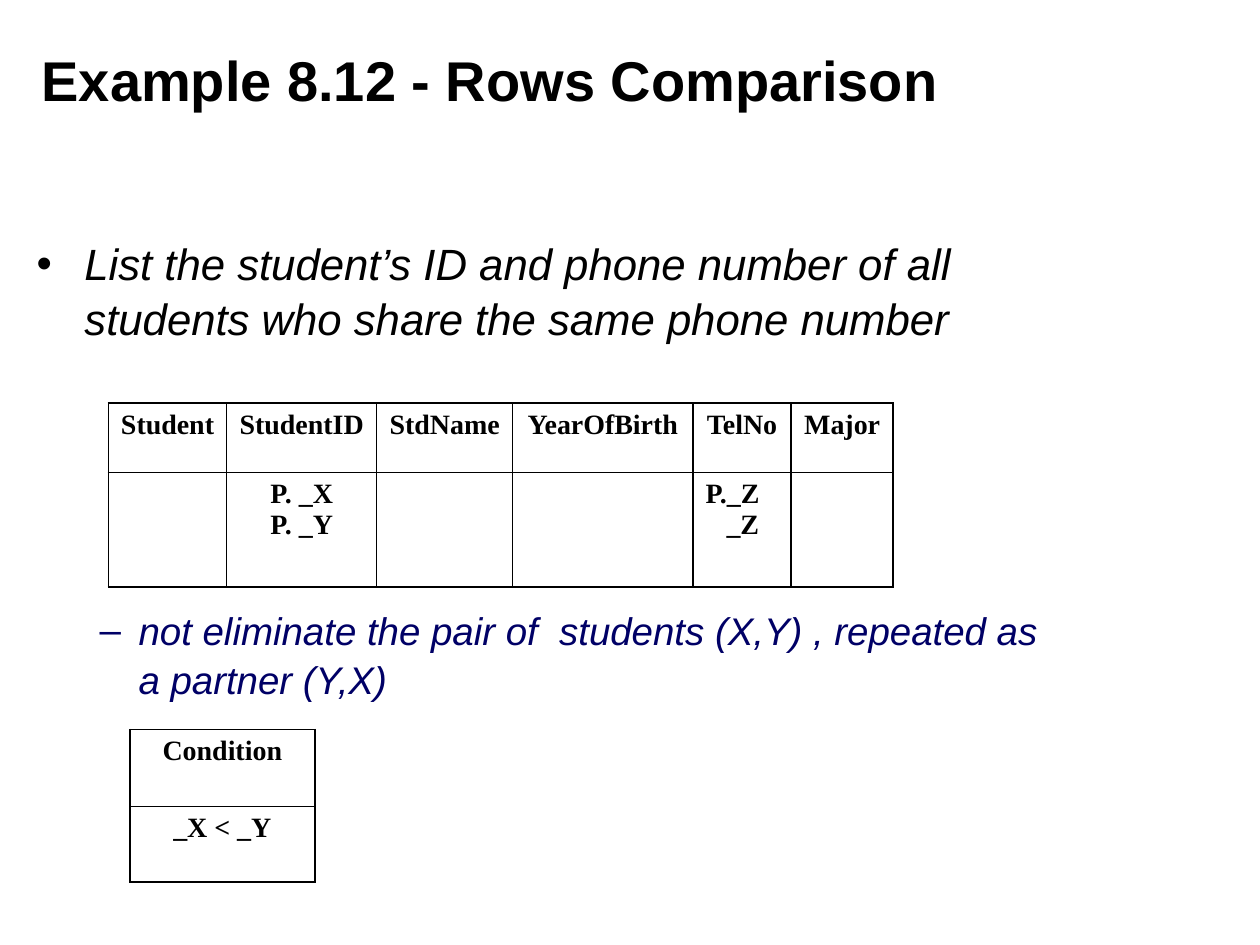
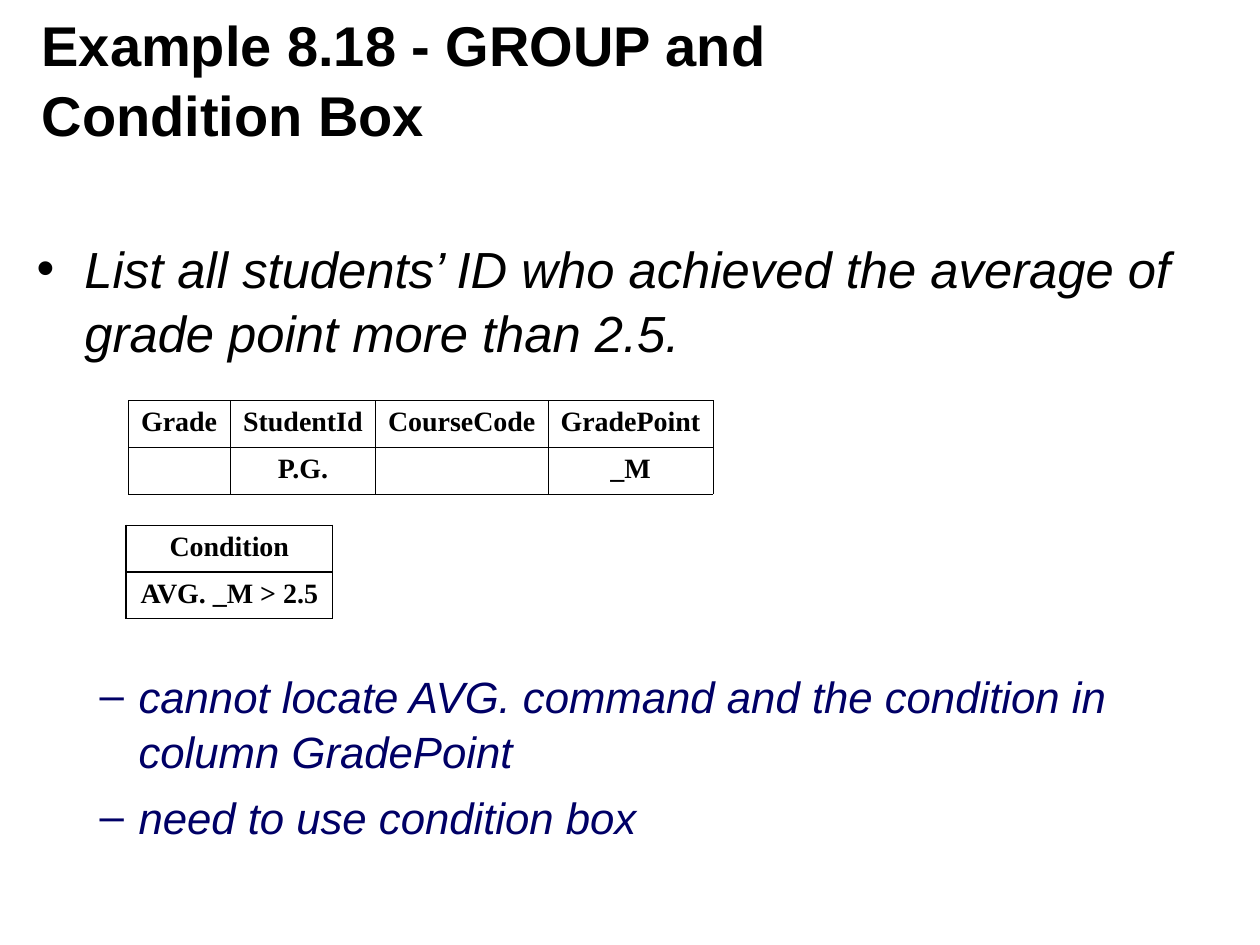
from dataclasses import dataclass

from lxml.etree import SubElement
from pptx import Presentation
from pptx.dml.color import RGBColor as RGB
from pptx.enum.text import MSO_ANCHOR as Anchor, MSO_AUTO_SIZE as AutoSize, PP_ALIGN as Align
from pptx.oxml import parse_xml
from pptx.oxml.ns import nsdecls, qn
from pptx.util import Inches, Pt


@dataclass(frozen=True)
class Theme:
    ink: str = "000000"
    accent: str = "000066"
    text_font: str = "Arial"
    table_font: str = "Times New Roman"
    title_size: int = 32
    table_size: int = 16
    leading: float = 1.05
    thin: float = 0.45
    rule: float = 0.96


class Deck:
    """Places elements on a grid of 100 columns by 75 rows."""

    COLS, ROWS = 100, 75
    TITLE_BOX = (2.3, 1.5, 80.3, 9.3)
    BODY_LEFT, BODY_TOP, BODY_ROWS = 1.9, 18.1, 48.2
    # bullet character, left margin and hanging indent in columns
    LEVELS = (("•", 3.8, 3.8), ("–", 8.1, 3.1))

    def __init__(self, theme):
        self.theme = theme
        self.prs = Presentation()
        self.prs.slide_width, self.prs.slide_height = Inches(10), Inches(7.5)
        self.s = None

    def x(self, cols):
        return int(self.prs.slide_width * cols / self.COLS)

    def y(self, rows):
        return int(self.prs.slide_height * rows / self.ROWS)

    def place(self, sp, left, top, width, height):
        sp.left, sp.top = self.x(left), self.y(top)
        sp.width, sp.height = self.x(width), self.y(height)
        tf = sp.text_frame
        tf.word_wrap, tf.auto_size = True, AutoSize.NONE
        return tf

    def run(self, p, text, font, size, color, bold=False, italic=False):
        r = p.add_run()
        r.text = text
        r.font.name, r.font.size = font, Pt(size)
        r.font.bold, r.font.italic = bold, italic
        r.font.color.rgb = RGB.from_string(color)

    # Title
    def slide(self, title):
        t = self.theme
        self.s = self.prs.slides.add_slide(self.prs.slide_layouts[1])
        tf = self.place(self.s.shapes.title, *self.TITLE_BOX)
        tf.vertical_anchor = Anchor.MIDDLE
        p = tf.paragraphs[0]
        p.alignment, p.line_spacing = Align.LEFT, t.leading
        self.run(p, title, t.text_font, t.title_size, t.ink, bold=True)

    # Bulleted list: one question, then notes below the table gap
    def body(self, width, question, notes, sizes, gap, note_space):
        t = self.theme
        tf = self.place(self.s.placeholders[1], self.BODY_LEFT, self.BODY_TOP,
                        width, self.BODY_ROWS)
        items = [(0, question, 0)]
        items += [(1, note, note_space if i else gap) for i, note in enumerate(notes)]
        for i, (level, text, before) in enumerate(items):
            p = tf.add_paragraph() if i else tf.paragraphs[0]
            color = t.accent if level else t.ink
            p.level, p.line_spacing = level, t.leading
            p.space_before = Pt(before)
            self.bullet(p, level, color)
            self.run(p, text, t.text_font, sizes[level], color, italic=True)

    def bullet(self, p, level, color):
        char, margin, hang = self.LEVELS[level]
        pPr = p._p.get_or_add_pPr()
        pPr.set("marL", str(self.x(margin)))
        pPr.set("indent", str(-self.x(hang)))
        bu = SubElement(pPr, qn("a:buClr"))
        SubElement(bu, qn("a:srgbClr"), val=color)
        SubElement(pPr, qn("a:buFont"), typeface=self.theme.text_font)
        SubElement(pPr, qn("a:buChar"), char=char)

    # Table: each cell is a list of lines, a line may be (text, left margin)
    def table(self, left, top, cols, heights, rows, line, header=Align.CENTER,
              left_cells=()):
        gf = self.s.shapes.add_table(len(rows), len(cols), self.x(left), self.y(top),
                                     self.x(sum(cols)), self.y(sum(heights)))
        tbl = gf.table
        tbl.first_row = tbl.horz_banding = False
        for column, width in zip(tbl.columns, cols):
            column.width = self.x(width)
        for row, height in zip(tbl.rows, heights):
            row.height = self.y(height)
        for i, row in enumerate(rows):
            for j, lines in enumerate(row):
                align = Align.LEFT if (i, j) in left_cells else Align.CENTER
                self.cell(tbl.cell(i, j), lines, align if i else header, line)

    def cell(self, cell, lines, align, line):
        t = self.theme
        cell.fill.background()
        self.borders(cell, line)
        tf = cell.text_frame
        if not lines:
            SubElement(tf.paragraphs[0]._p, qn("a:endParaRPr"), sz=str(t.table_size * 100))
        for i, item in enumerate(lines):
            text, margin = item if isinstance(item, tuple) else (item, 0)
            p = tf.add_paragraph() if i else tf.paragraphs[0]
            p.alignment = align
            if margin:
                p._p.get_or_add_pPr().set("marL", str(self.x(margin)))
            self.run(p, text, t.table_font, t.table_size, t.ink, bold=True)

    def borders(self, cell, width):
        tcPr = cell._tc.get_or_add_tcPr()
        for i, side in enumerate(("lnL", "lnR", "lnT", "lnB")):
            tcPr.insert(i, parse_xml(
                f'<a:{side} {nsdecls("a")} w="{int(Pt(width))}"><a:solidFill>'
                f'<a:srgbClr val="{self.theme.ink}"/></a:solidFill></a:{side}>'))


def rows_comparison(deck):
    deck.slide("Example 8.12 - Rows Comparison")
    deck.body(83.9,
              "List the student’s ID and phone number of all students who share "
              "the same phone number",
              ["not eliminate the pair of  students (X,Y) , repeated as a partner (Y,X)"],
              sizes=(25, 22), gap=149, note_space=5.5)
    # Query table
    names = ("Student", "StudentID", "StdName", "YearOfBirth", "TelNo", "Major")
    deck.table(8.6, 32, (9.4, 11.9, 10.8, 14.3, 7.8, 8.1), (5.5, 9.1),
               [[[name] for name in names],
                [[], ["P. _X", "P. _Y"], [], [], ["P._Z", ("_Z", 1.67)], []]],
               deck.theme.rule, left_cells={(1, 4)})
    # Condition box
    deck.table(10.3, 57.9, (14.7,), (6.1, 6), [[["Condition"]], [["_X < _Y"]]],
               deck.theme.rule)


def group_and_condition(deck):
    deck.slide("Example 8.18 - GROUP and Condition Box")
    deck.body(96.1,
              "List all students’ ID who achieved the average of grade point more than 2.5.",
              ["cannot locate AVG. command and the condition in column GradePoint",
               "need to use condition box"],
              sizes=(29, 25), gap=174, note_space=6.2)
    # Query table
    names = ("Grade", "StudentId", "CourseCode", "GradePoint")
    deck.table(10.2, 31.8, (8.1, 11.5, 13.7, 13.1), (3.7, 3.7),
               [[[name] for name in names], [[], ["P.G."], [], ["_M"]]],
               deck.theme.thin, header=Align.JUSTIFY)
    # Condition box
    deck.table(10, 41.7, (16.4,), (3.7, 3.7), [[["Condition"]], [["AVG. _M > 2.5"]]],
               deck.theme.rule)


def main():
    deck = Deck(Theme())
    rows_comparison(deck)
    group_and_condition(deck)
    deck.prs.save("out.pptx")


if __name__ == "__main__":
    main()
